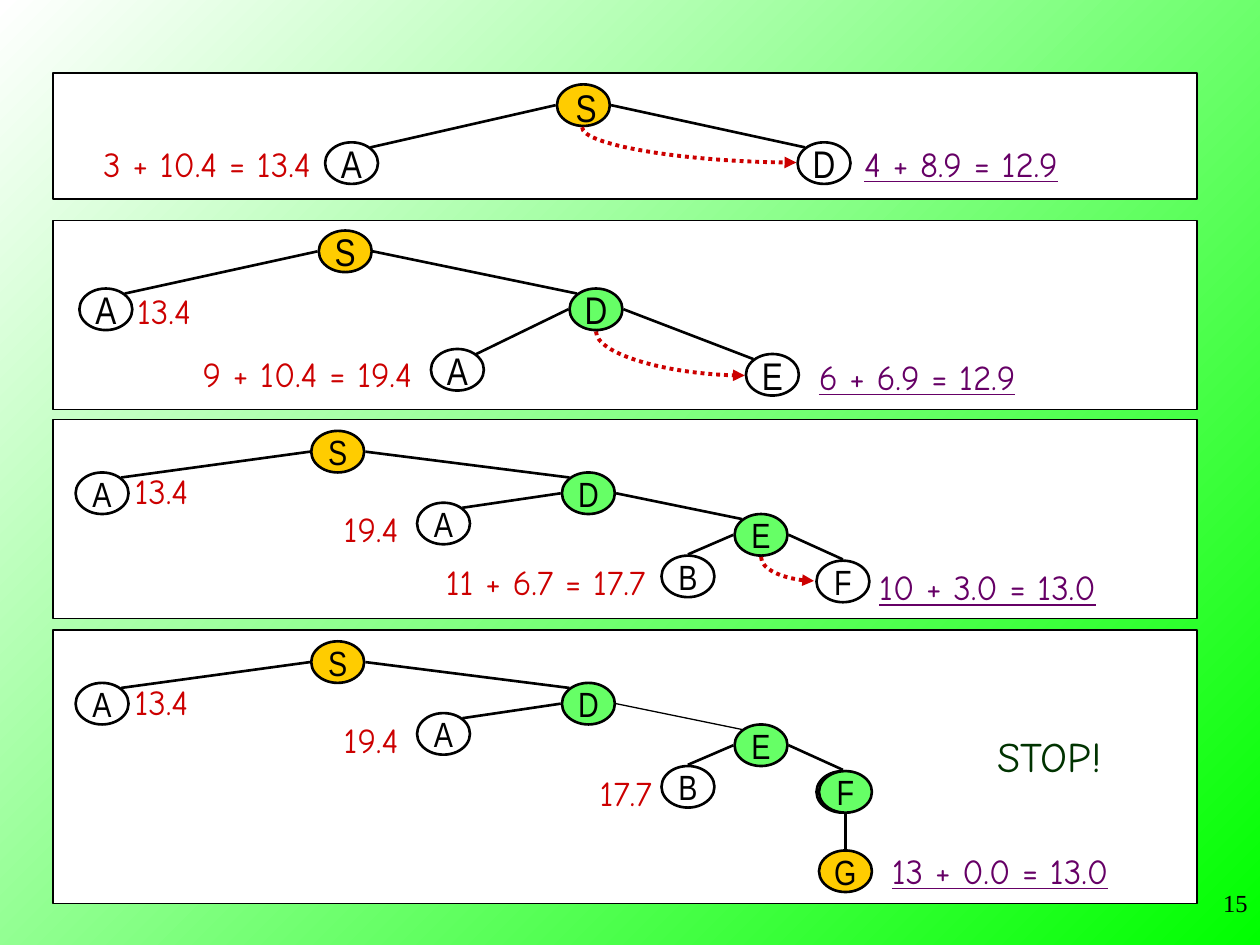
from lxml.etree import SubElement
from pptx import Presentation
from pptx.dml.color import RGBColor
from pptx.enum.dml import MSO_LINE
from pptx.enum.shapes import MSO_CONNECTOR, MSO_SHAPE
from pptx.enum.text import MSO_ANCHOR, MSO_AUTO_SIZE, PP_ALIGN
from pptx.oxml.ns import qn
from pptx.util import Inches, Pt

BLACK = RGBColor(0x00, 0x00, 0x00)
WHITE = RGBColor(0xFF, 0xFF, 0xFF)
GOLD = RGBColor(0xFF, 0xCC, 0x00)
GREEN = RGBColor(0x66, 0xFF, 0x66)
RED = RGBColor(0xCC, 0x00, 0x00)
PURPLE = RGBColor(0x66, 0x00, 0x66)
DARK_GREEN = RGBColor(0x00, 0x33, 0x00)
BRIGHT_GREEN = RGBColor(0x00, 0xFF, 0x00)

NODE_WIDTH, NODE_HEIGHT = 0.42, 0.33
NODE_FONT, COST_FONT = "Arial Narrow", "Comic Neue"
LABEL_SLACK = 0.04  # spare width that keeps each label on one line


def style_text(box, text, font, size, color, align=PP_ALIGN.LEFT):
    box.text_frame.text = text
    para = box.text_frame.paragraphs[0]
    para.alignment = align
    span = para.runs[0]
    span.font.name = font
    span.font.size = Pt(size)
    span.font.color.rgb = color
    return span


def add_filled(page, kind, at, fill, weight):
    shape = page.shapes.add_shape(kind, *(Inches(length) for length in at))
    shape.shadow.inherit = False
    shape.fill.solid()
    shape.fill.fore_color.rgb = fill
    shape.line.color.rgb = BLACK
    shape.line.width = Pt(weight)
    return shape


def add_panel(page, top, height):
    add_filled(page, MSO_SHAPE.RECTANGLE, (0.42, top, 9.08, height), WHITE, 0.75)


def add_node(page, letter, left, top, fill=WHITE, size=22):
    """Draw a tree node and return its left and top."""
    node = add_filled(page, MSO_SHAPE.OVAL, (left, top, NODE_WIDTH, NODE_HEIGHT), fill, 1.5)
    node.text_frame.word_wrap = False
    node.text_frame.vertical_anchor = MSO_ANCHOR.MIDDLE
    if letter:
        style_text(node, letter, NODE_FONT, size, BLACK, PP_ALIGN.CENTER)
    return left, top


def add_label(page, text, left, top, width, color=RED, size=20, height=0.44, font=COST_FONT):
    box = page.shapes.add_textbox(Inches(left), Inches(top),
                                  Inches(width + LABEL_SLACK), Inches(height))
    box.text_frame.word_wrap = False
    box.text_frame.auto_size = MSO_AUTO_SIZE.SHAPE_TO_FIT_TEXT
    span = style_text(box, text, font, size, color)
    if color == PURPLE:  # the cheapest path is underlined
        span.font.underline = True


def add_line(page, kind, start, end, color, weight):
    line = page.shapes.add_connector(kind, *(Inches(length) for length in (*start, *end)))
    line.line.color.rgb = color
    line.line.width = Pt(weight)
    SubElement(line._element.spPr, qn("a:effectLst"))
    return line


def add_edge(page, parent, child, to_top=False, weight=1.5):
    """Run from the parent's side to the child's top or nearest shoulder."""
    goes_left = child[0] < parent[0]
    start_x = parent[0] + (-0.01 if goes_left else NODE_WIDTH + 0.01)
    start = (start_x, parent[1] + NODE_HEIGHT / 2)
    if to_top:
        end = (child[0] + NODE_WIDTH / 2, child[1] - 0.01)
    else:
        end = (child[0] + (0.36 if goes_left else 0.06), child[1] + 0.04)
    add_line(page, MSO_CONNECTOR.STRAIGHT, start, end, BLACK, weight)


def add_choice_arrow(page, start, end):
    """Dotted quarter curve that leaves downward and arrives rightward."""
    across, down = end[0] - start[0], end[1] - start[1]
    center_x, center_y = (start[0] + end[0]) / 2, (start[1] + end[1]) / 2
    # The frame is turned by 270 degrees, so its sides are swapped
    arrow = add_line(page, MSO_CONNECTOR.CURVE,
                     (center_x + down / 2, center_y - across / 2),
                     (center_x - down / 2, center_y + across / 2), RED, 2.25)
    properties = arrow._element.spPr
    properties.find(qn("a:xfrm")).set("rot", str(270 * 60000))
    properties.find(qn("a:prstGeom")).set("prst", "curvedConnector2")
    arrow.line.dash_style = MSO_LINE.ROUND_DOT
    SubElement(properties.find(qn("a:ln")), qn("a:tailEnd"), type="triangle")


def add_first_step(page):
    add_panel(page, 0.58, 1)
    root = add_node(page, "", 4.42, 0.67, GOLD)
    add_label(page, "S", 4.47, 0.62, 0.36, BLACK, 22, 0.47, NODE_FONT)
    for letter, left in (("A", 2.58), ("D", 6.33)):
        add_edge(page, root, add_node(page, letter, left, 1.13))
    add_label(page, "3 + 10.4 = 13.4", 0.72, 1.08, 1.85)
    add_label(page, "4 + 8.9 = 12.9", 6.76, 1.08, 1.74, PURPLE)
    add_choice_arrow(page, (4.62, 1.01), (6.32, 1.29))


def add_second_step(page):
    add_panel(page, 1.75, 1.5)
    root = add_node(page, "S", 2.53, 1.83, GOLD)
    add_edge(page, root, add_node(page, "A", 0.63, 2.29))
    add_choice_arrow(page, (4.73, 2.63), (5.91, 2.98))
    node_d = add_node(page, "D", 4.52, 2.29, GREEN)
    add_edge(page, root, node_d)
    for letter, left, top in (("A", 3.42, 2.77), ("E", 5.92, 2.81)):
        add_edge(page, node_d, add_node(page, letter, left, top))
    add_label(page, "13.4", 0.99, 2.25, 0.63)
    add_label(page, "9 + 10.4 = 19.4", 1.51, 2.75, 1.86)
    add_label(page, "6 + 6.9 = 12.9", 6.4, 2.77, 1.76, PURPLE)


def add_deep_tree(page, top, height, d_to_e_weight=1.5):
    """The tree down to B and F, shared by the last two steps."""
    add_panel(page, top, height)
    root = add_node(page, "S", 2.47, top + 0.09, GOLD, 20)
    first_a = add_node(page, "A", 0.6, top + 0.42, size=20)
    node_d = add_node(page, "D", 4.46, top + 0.42, GREEN, 20)
    second_a = add_node(page, "A", 3.31, top + 0.66, size=20)
    node_e = add_node(page, "E", 5.83, top + 0.75, GREEN, 20)
    node_b = add_node(page, "B", 5.25, top + 1.08, size=20)
    node_f = add_node(page, "F", 6.48, top + 1.12, size=20)
    for parent, child in ((root, first_a), (root, node_d), (node_d, second_a)):
        add_edge(page, parent, child)
    add_edge(page, node_d, node_e, weight=d_to_e_weight)
    for child in (node_b, node_f):
        add_edge(page, node_e, child, to_top=True)
    add_label(page, "13.4", 0.97, top + 0.35, 0.63)
    add_label(page, "19.4", 2.63, top + 0.65, 0.63)


def add_third_step(page):
    add_deep_tree(page, 3.33, 1.58)
    add_choice_arrow(page, (6.04, 4.42), (6.46, 4.61))
    add_label(page, "11 + 6.7 = 17.7", 3.44, 4.4, 1.78)
    add_label(page, "10 + 3.0 = 13.0", 6.88, 4.44, 1.92, PURPLE)


def add_last_step(page):
    add_deep_tree(page, 5, 2.17, d_to_e_weight=0.75)
    add_node(page, "F", 6.5, 6.12, GREEN, 20)
    add_node(page, "G", 6.5, 6.75, GOLD, 20)
    add_line(page, MSO_CONNECTOR.STRAIGHT, (6.71, 6.46), (6.71, 6.74), BLACK, 1.5)
    add_label(page, "17.7", 4.66, 6.07, 0.61)
    add_label(page, "13 + 0.0 = 13.0", 6.98, 6.69, 1.92, PURPLE)
    add_label(page, "STOP!", 7.82, 5.75, 1.04, DARK_GREEN, 24, 0.5)


def add_background(page):
    fill = page.background.fill
    fill.gradient()
    fill.gradient_angle = 135
    for stop, color in zip(fill.gradient_stops, (BRIGHT_GREEN, WHITE)):
        stop.color.rgb = color


def add_page_number(page):
    box = page.shapes.add_textbox(Inches(7.92), Inches(7), Inches(2.08), Inches(0.5))
    box.text_frame.word_wrap = True
    style_text(box, "15", "Times New Roman", 14, BLACK, PP_ALIGN.RIGHT)


def main():
    deck = Presentation()
    deck.slide_width, deck.slide_height = Inches(10), Inches(7.5)
    page = deck.slides.add_slide(deck.slide_layouts[6])
    add_background(page)
    # One panel for each step of the search
    add_first_step(page)
    add_second_step(page)
    add_third_step(page)
    add_last_step(page)
    add_page_number(page)
    deck.save("out.pptx")


if __name__ == "__main__":
    main()
